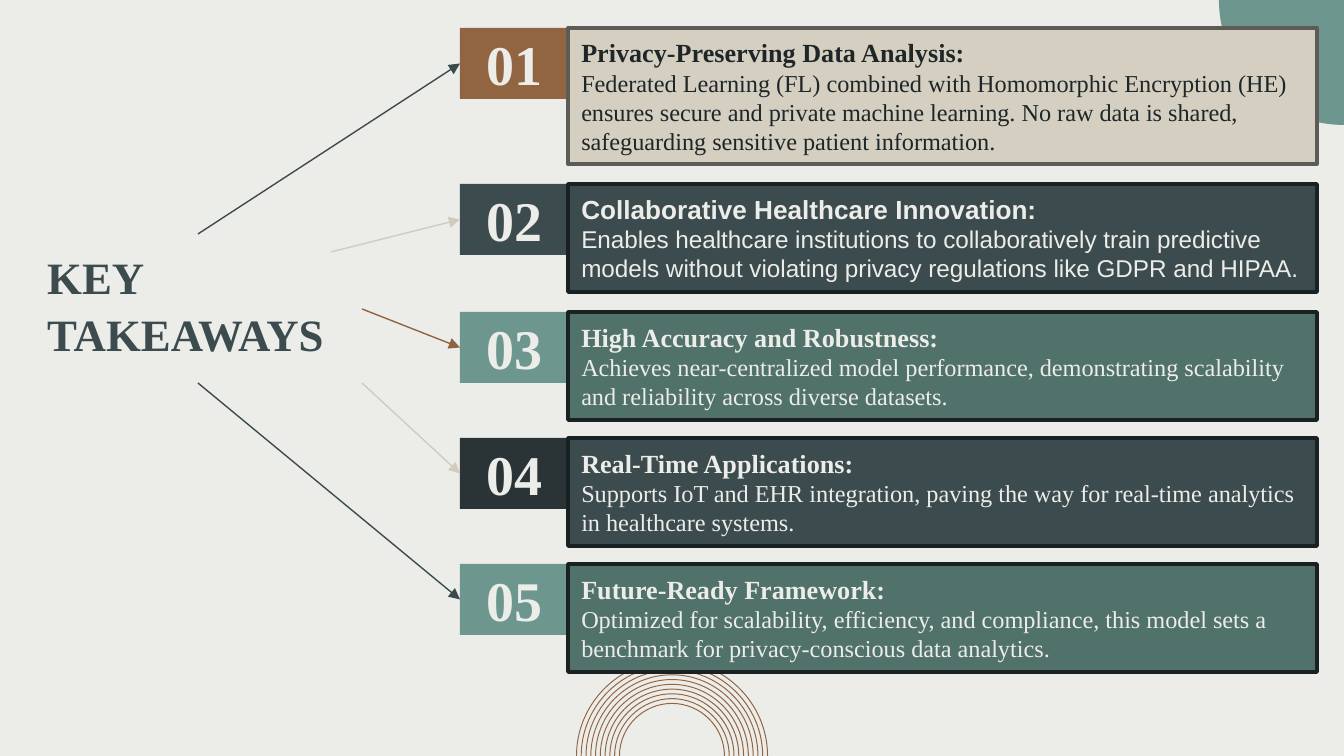
from copy import deepcopy

from lxml import etree
from pptx import Presentation
from pptx import util as u
from pptx.dml.color import RGBColor
from pptx.enum import shapes, text
from pptx.oxml.ns import qn

SERIF, SANS = "Times New Roman", "Arial"
PAPER, SLATE, SAGE, COPPER, INK = "ECEDE9", "3C4B4E", "6C968E", "916442", "1E2627"
FOREST, SAND, EDGE, SAND_EDGE = "51716B", "D4CFC1", "1A2122", "5D5B55"

TITLE = ["KEY ", "TAKEAWAYS"]
TAKEAWAYS = [
    dict(heading="Privacy-Preserving Data Analysis:",
         body="Federated Learning (FL) combined with Homomorphic Encryption (HE) ensures secure "
              "and private machine learning. No raw data is shared, safeguarding sensitive "
              "patient information.",
         top=28, height=136, badge=COPPER, card=SAND, edge=SAND_EDGE, ink=INK, font=SERIF,
         arrow="3A4A4D", start=(198, 234)),
    dict(heading="Collaborative Healthcare Innovation:",
         body="Enables healthcare institutions to collaboratively train predictive models "
              "without violating privacy regulations like GDPR and HIPAA.",
         top=184, height=108, badge=SLATE, card=SLATE, edge=EDGE, ink=PAPER, font=SANS,
         arrow="D0CBBC", start=(331, 252)),
    dict(heading="High Accuracy and Robustness:",
         body="Achieves near-centralized model performance, demonstrating scalability and "
              "reliability across diverse datasets.",
         top=312, height=108, badge=SAGE, card=FOREST, edge=EDGE, ink=PAPER, font=SERIF,
         arrow="90623F", start=(362, 309)),
    dict(heading="Real-Time Applications:",
         body="Supports IoT and EHR integration, paving the way for real-time analytics in "
              "healthcare systems.",
         top=438, height=108, badge="2A3336", card=SLATE, edge=EDGE, ink=PAPER, font=SERIF,
         arrow="D0CBBC", start=(362, 383)),
    dict(heading="Future-Ready Framework:",
         body="Optimized for scalability, efficiency, and compliance, this model sets a "
              "benchmark for privacy-conscious data analytics.",
         top=564, height=108, badge=SAGE, card=FOREST, edge=EDGE, ink=PAPER, font=SERIF,
         arrow="3A4A4D", start=(198, 383)),
]

WIDTH, HEIGHT = 1344, 756
BADGE_LEFT, BADGE_WIDTH, BADGE_HEIGHT = 460, 108, 71
CARD_LEFT, CARD_WIDTH = 568, 749
RINGS, RING_OUTER, RING_INNER = 10, 96, 53
LEFT, UP, RIGHT, DOWN = (-1, 0), (0, -1), (1, 0), (0, 1)


def px(n):
    return u.Emu(round(n * 914400 / 134.4))


def rgb(color):
    return RGBColor.from_string(color)


def paint(shape, fill, edge=None):
    shape.shadow.inherit = False
    shape.fill.solid()
    shape.fill.fore_color.rgb = rgb(fill)
    if edge:
        shape.line.color.rgb = rgb(edge)
        shape.line.width = u.Pt(2)
    else:
        shape.line.fill.background()


def add_run(paragraph, words, size, color, font=SERIF, bold=True):
    run = paragraph.add_run()
    run.text = words
    run.font.size, run.font.name, run.font.bold = u.Pt(size), font, bold
    run.font.color.rgb = rgb(color)
    return run


def break_after(paragraph, run):
    """Add a line break that keeps the run's size."""
    paragraph.add_line_break()
    paragraph._p.findall(qn("a:br"))[-1].append(deepcopy(run._r.rPr))


def set_insets(frame, side, end):
    frame.margin_left = frame.margin_right = u.Inches(side)
    frame.margin_top = frame.margin_bottom = u.Inches(end)
    frame.word_wrap = True


def add_box(left, top, width, height, fill, edge=None):
    box = slide.shapes.add_shape(shapes.MSO_SHAPE.RECTANGLE, px(left), px(top), px(width), px(height))
    paint(box, fill, edge)
    box.text_frame.vertical_anchor = text.MSO_ANCHOR.MIDDLE
    return box


def around(center, radius, first, second=(0, 0), pull=0):
    return tuple(px(c + radius * (a + pull * b)) for c, a, b in zip(center, first, second))


def quarter(center, radius, first, last):
    """Give the three Bezier points of a quarter circle from one direction to the next."""
    return [around(center, radius, first, last, 0.55), around(center, radius, last, first, 0.55),
            around(center, radius, last)]


def add_outline(start, segments, fill):
    """Draw a closed outline; a segment of three points is a curve, of one point a line."""
    builder = slide.shapes.build_freeform(*start, scale=1.0)
    builder.add_line_segments([point for segment in segments for point in segment], close=True)
    outline = builder.convert_to_shape()
    steps = iter(list(outline._element.iter(qn("a:lnTo"))))
    for segment in segments:
        first, *others = [next(steps) for _ in segment]
        if others:
            first.tag = qn("a:cubicBezTo")
            for step in others:
                first.append(step[0])
                step.getparent().remove(step)
    paint(outline, fill)


def add_arrow(start, badge, color):
    arrow = slide.shapes.add_connector(shapes.MSO_CONNECTOR.STRAIGHT, px(start[0]), px(start[1]), 0, 0)
    arrow.end_connect(badge, 1)
    arrow.line.color.rgb = rgb(color)
    arrow.line.width = u.Pt(0.75)
    etree.SubElement(arrow.line._get_or_add_ln(), qn("a:tailEnd"), type="triangle")
    etree.SubElement(arrow._element.spPr, qn("a:effectLst"))


deck = Presentation()
deck.slide_width, deck.slide_height = px(WIDTH), px(HEIGHT)
slide = deck.slides.add_slide(deck.slide_layouts[6])
slide.background.fill.solid()
slide.background.fill.fore_color.rgb = rgb(PAPER)

ring_center = (WIDTH / 2, HEIGHT)
for i in range(RINGS):
    outer = RING_OUTER - i * (RING_OUTER - RING_INNER) / (RINGS - 1)
    inner = outer - 1
    add_outline(around(ring_center, outer, LEFT),
                [quarter(ring_center, outer, LEFT, UP), quarter(ring_center, outer, UP, RIGHT),
                 [around(ring_center, inner, RIGHT)],
                 quarter(ring_center, inner, RIGHT, UP), quarter(ring_center, inner, UP, LEFT)],
                COPPER)

corner = (WIDTH, 0)
add_outline(around(corner, 125, DOWN),
            [[around(corner, 0, DOWN)], [around(corner, 125, LEFT)], quarter(corner, 125, LEFT, DOWN)],
            SAGE)

title = slide.shapes.add_textbox(px(34), px(234), px(329), px(150)).text_frame
set_insets(title, 0.1, 0.1)
title_line = title.paragraphs[0]
title_line.line_spacing = 1.05
break_after(title_line, add_run(title_line, TITLE[0], 24, SLATE))
add_run(title_line, TITLE[1], 24, SLATE)

badges = []
for number, item in enumerate(TAKEAWAYS, 1):
    badge = add_box(BADGE_LEFT, item["top"], BADGE_WIDTH, BADGE_HEIGHT, item["badge"])
    set_insets(badge.text_frame, 0.1, 0.1)
    label = badge.text_frame.paragraphs[0]
    label.alignment = text.PP_ALIGN.CENTER
    add_run(label, f"{number:02}", 30, PAPER)
    badges.append(badge)

for item, badge in zip(TAKEAWAYS, badges):
    add_arrow(item["start"], badge, item["arrow"])

for item in TAKEAWAYS:
    card = add_box(CARD_LEFT, item["top"], CARD_WIDTH, item["height"], item["card"], item["edge"])
    set_insets(card.text_frame, 0.1, 0.05)
    message = card.text_frame.paragraphs[0]
    message.alignment = text.PP_ALIGN.LEFT
    break_after(message, add_run(message, item["heading"], 14, item["ink"], item["font"]))
    add_run(message, item["body"], 13, item["ink"], item["font"], bold=False)

deck.save("out.pptx")
